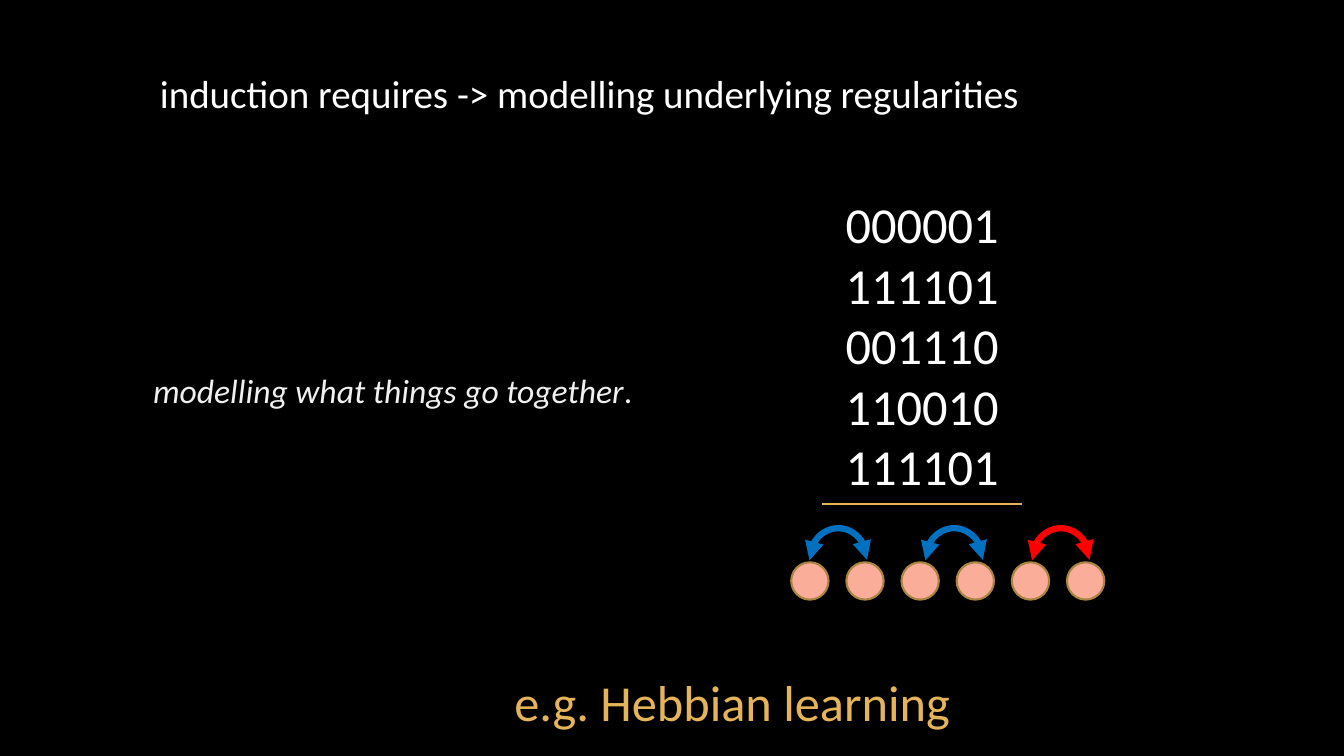
import pptx
import pptx.util
import pptx.dml.color
import pptx.enum.shapes
import pptx.enum.text
import pptx.oxml.ns
from lxml import etree

Cm, Pt = pptx.util.Cm, pptx.util.Pt
RGBColor = pptx.dml.color.RGBColor
SHAPE = pptx.enum.shapes.MSO_SHAPE
ALIGN = pptx.enum.text.PP_ALIGN
AUTO_SIZE = pptx.enum.text.MSO_AUTO_SIZE

BLACK = RGBColor(0x00, 0x00, 0x00)
WHITE = RGBColor(0xFF, 0xFF, 0xFF)
PALE = RGBColor(0xF0, 0xF0, 0xF0)
GOLD = RGBColor(0xE5, 0xB4, 0x58)
BRONZE = RGBColor(0xA9, 0x85, 0x41)
SALMON = RGBColor(0xFA, 0xAD, 0x98)
BLUE = RGBColor(0x00, 0x70, 0xC0)
RED = RGBColor(0xFF, 0x00, 0x00)

# Content
heading = "induction requires -> modelling underlying regularities"
patterns = ["000001", "111101", "001110", "110010", "111101"]
explanation = [("modelling what things go together", True), (".", False)]
example = "e.g. Hebbian learning"
associations = [(20.4, BLUE), (23.32, BLUE), (26.01, RED)]  # left edge, colour

# Layout in cm
NEURON_LEFT, NEURON_TOP, NEURON_SIZE, NEURON_PITCH = 19.94, 14.17, 0.94, 1.39
ARC_TOP, ARC_WIDTH, ARC_HEIGHT = 13.31, 1.45, 1.6
ARC_START = 107.36  # just under 180 degrees, so the arc is the upper half

presentation = pptx.Presentation()
presentation.slide_width, presentation.slide_height = Cm(33.87), Cm(19.05)
slide = presentation.slides.add_slide(presentation.slide_layouts[6])
slide.background.fill.solid()
slide.background.fill.fore_color.rgb = BLACK


def add_text(box, lines, size, color, wrap=True, grow=False):
    """Each line is a list of (text, italic) runs."""
    frame = slide.shapes.add_textbox(*map(Cm, box)).text_frame
    frame.word_wrap = wrap
    frame.auto_size = AUTO_SIZE.SHAPE_TO_FIT_TEXT if grow else AUTO_SIZE.NONE
    for index, line in enumerate(lines):
        paragraph = frame.add_paragraph() if index else frame.paragraphs[0]
        for text, italic in line:
            run = paragraph.add_run()
            run.text = text
            run.font.name = "Calibri"
            run.font.size = Pt(size)
            run.font.italic = italic
            run.font.color.rgb = color
    return frame


def set_line(shape, color, width):
    shape.line.color.rgb = color
    shape.line.width = Pt(width)


# Heading
add_text((3.78, 1.63, 22.2, 2.41), [[(heading, False)]], 27.9, WHITE)

# Training patterns and the rule beneath them
rule = slide.shapes.add_connector(
    pptx.enum.shapes.MSO_CONNECTOR.STRAIGHT, Cm(20.72), Cm(12.7), Cm(25.76), Cm(12.7))
set_line(rule, GOLD, 0.75)
etree.SubElement(rule._element.spPr, pptx.oxml.ns.qn("a:effectLst"))
add_text((21.06, 4.75, 4.7, 7.95), [[(bits, False)] for bits in patterns],
         36, WHITE, wrap=False, grow=True)

# Associations between neurons
network = slide.shapes.add_group_shape().shapes
for left, color in associations:
    arc = network.add_shape(SHAPE.ARC, Cm(left), Cm(ARC_TOP), Cm(ARC_WIDTH), Cm(ARC_HEIGHT))
    arc.adjustments[0], arc.adjustments[1] = ARC_START, 0
    arc.shadow.inherit = False
    arc.fill.background()
    set_line(arc, color, 4.5)
    for end in ("a:headEnd", "a:tailEnd"):
        etree.SubElement(arc.line._get_or_add_ln(), pptx.oxml.ns.qn(end), type="triangle")

# Neurons, one for each bit
for index in range(len(patterns[0])):
    neuron = network.add_shape(
        SHAPE.OVAL, Cm(NEURON_LEFT + index * NEURON_PITCH), Cm(NEURON_TOP),
        Cm(NEURON_SIZE), Cm(NEURON_SIZE))
    neuron.shadow.inherit = False
    neuron.fill.solid()
    neuron.fill.fore_color.rgb = SALMON
    set_line(neuron, BRONZE, 1.5)

# Explanation
explained = add_text((3.61, 9.09, 21.95, 12.04), [explanation], 24, PALE)
explained.paragraphs[0].line_spacing = 1.11

# Example
named = add_text((12.5, 16.79, 11.91, 1.8), [[(example, False)]], 36, GOLD, grow=True)
named.paragraphs[0].alignment = ALIGN.CENTER

presentation.save("out.pptx")
